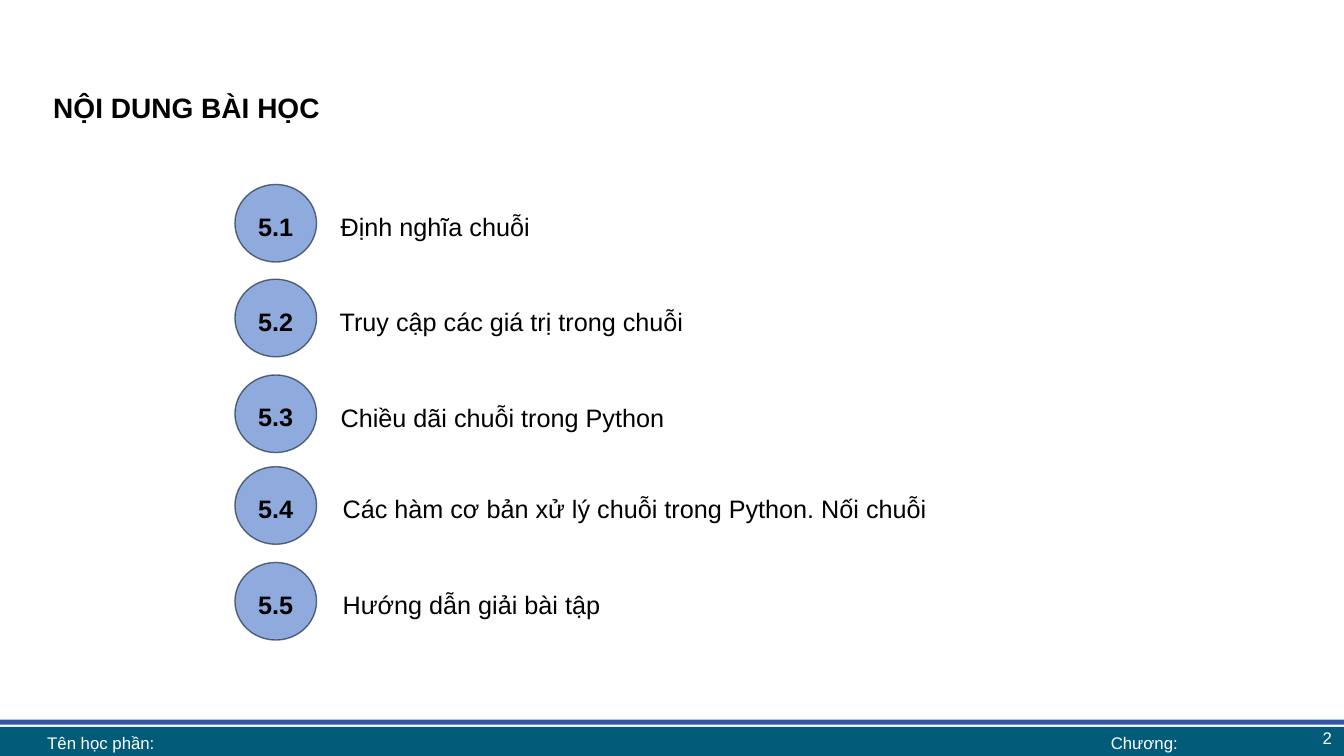
from dataclasses import dataclass
from lxml.etree import SubElement
from pptx import Presentation
from pptx.dml.color import RGBColor
from pptx.enum.shapes import MSO_SHAPE as Shape
from pptx.enum.text import MSO_ANCHOR as Anchor, PP_ALIGN as Align
from pptx.oxml.ns import qn
from pptx.shapes.autoshape import Shape as AutoShape
from pptx.slide import Slide
from pptx.util import Inches, Length, Pt


@dataclass(frozen=True)
class Theme:
    font: str = "Arial"
    black: RGBColor = RGBColor(0x00, 0x00, 0x00)
    white: RGBColor = RGBColor(0xFF, 0xFF, 0xFF)
    footer: RGBColor = RGBColor(0x02, 0x5B, 0x79)
    stripe: RGBColor = RGBColor(0x32, 0x56, 0xA4)
    badge: RGBColor = RGBColor(0x8F, 0xAA, 0xDC)
    outline: RGBColor = RGBColor(0x08, 0x17, 0x2E)
    title_size: Length = Pt(20)
    body_size: Length = Pt(18)
    footer_size: Length = Pt(12)


@dataclass(frozen=True)
class Box:
    left: float
    top: float
    width: float
    height: float

    def lengths(self) -> tuple[Length, ...]:
        return tuple(Inches(v) for v in (self.left, self.top, self.width, self.height))


@dataclass(frozen=True)
class TextStyle:
    size: Length
    color: RGBColor
    align: Align
    bold: bool = False
    anchor: Anchor = Anchor.TOP
    line_spacing: float | Length | None = None
    space_before: Length | None = None
    inset: float = 0.05


@dataclass(frozen=True)
class Topic:
    number: str
    text: str
    top: float
    text_left: float
    text_width: float


@dataclass(frozen=True)
class FooterText:
    text: str
    box: Box
    align: Align


THEME = Theme()
TITLE = TextStyle(THEME.title_size, THEME.black, Align.JUSTIFY, True, Anchor.TOP, 1.2, Pt(5))
BADGE = TextStyle(THEME.body_size, THEME.black, Align.CENTER, True, Anchor.MIDDLE, 1.2, Pt(5))
TOPIC = TextStyle(THEME.body_size, THEME.black, Align.JUSTIFY,
                  line_spacing=Pt(25), space_before=Pt(5))

TOPICS = [
    Topic("5.1", "Định nghĩa chuỗi", 1.83, 3.28, 7.57),
    Topic("5.2", "Truy cập các giá trị trong chuỗi", 2.77, 3.27, 7.62),
    Topic("5.3", "Chiều dãi chuỗi trong Python", 3.72, 3.28, 5.06),
    Topic("5.4", "Các hàm cơ bản xử lý chuỗi trong Python. Nối chuỗi", 4.63, 3.3, 6.2),
    Topic("5.5", "Hướng dẫn giải bài tập", 5.58, 3.3, 6.2),
]
FOOTER = [
    FooterText("Tên học phần:", Box(0.37, 7.21, 10.24, 0.31), Align.LEFT),
    FooterText("Chương:", Box(10.6, 7.21, 1.5, 0.31), Align.CENTER),
    FooterText("2", Box(10.31, 7.14, 3, 0.35), Align.RIGHT),
]


def write(sp: AutoShape, text: str, style: TextStyle) -> None:
    tf = sp.text_frame
    tf.word_wrap = True
    tf.vertical_anchor = style.anchor
    tf.margin_top = tf.margin_bottom = Inches(style.inset)
    p = tf.paragraphs[0]
    p.text = text
    p.alignment = style.align
    p.line_spacing = style.line_spacing
    p.space_before = style.space_before
    p.font.name = THEME.font
    p.font.size = style.size
    p.font.bold = style.bold
    p.font.color.rgb = style.color


def add_text(s: Slide, box: Box, text: str, style: TextStyle) -> None:
    write(s.shapes.add_textbox(*box.lengths()), text, style)


def add_filled(s: Slide, kind: Shape, box: Box, color: RGBColor) -> AutoShape:
    sp = s.shapes.add_shape(kind, *box.lengths())
    sp.shadow.inherit = False
    sp.fill.solid()
    sp.fill.fore_color.rgb = color
    sp.line.fill.background()
    return sp


def add_topic(s: Slide, topic: Topic) -> None:
    sp = add_filled(s, Shape.OVAL, Box(2.33, topic.top, 0.81, 0.77), THEME.badge)
    sp.line.color.rgb = THEME.outline
    sp.line.width = Pt(1)
    outline = sp.line._get_or_add_ln().find(".//" + qn("a:srgbClr"))
    SubElement(outline, qn("a:alpha"), val="60000")
    write(sp, topic.number, BADGE)
    add_text(s, Box(topic.text_left, topic.top + 0.17, topic.text_width, 0.42),
             topic.text, TOPIC)


def main() -> None:
    prs = Presentation()
    prs.slide_width, prs.slide_height = Inches(13.33), Inches(7.5)
    s = prs.slides.add_slide(prs.slide_layouts[6])
    add_filled(s, Shape.RECTANGLE, Box(0, 7.21, 13.33, 0.31), THEME.footer)
    add_filled(s, Shape.RECTANGLE, Box(-0.01, 7.14, 13.36, 0.05), THEME.stripe)
    add_text(s, Box(0.43, 0.78, 12.47, 0.87), "NỘI DUNG BÀI HỌC", TITLE)
    for topic in TOPICS:
        add_topic(s, topic)
    for item in FOOTER:
        style = TextStyle(THEME.footer_size, THEME.white, item.align,
                          anchor=Anchor.MIDDLE, inset=0)
        add_text(s, item.box, item.text, style)
    prs.save("out.pptx")


if __name__ == "__main__":
    main()
